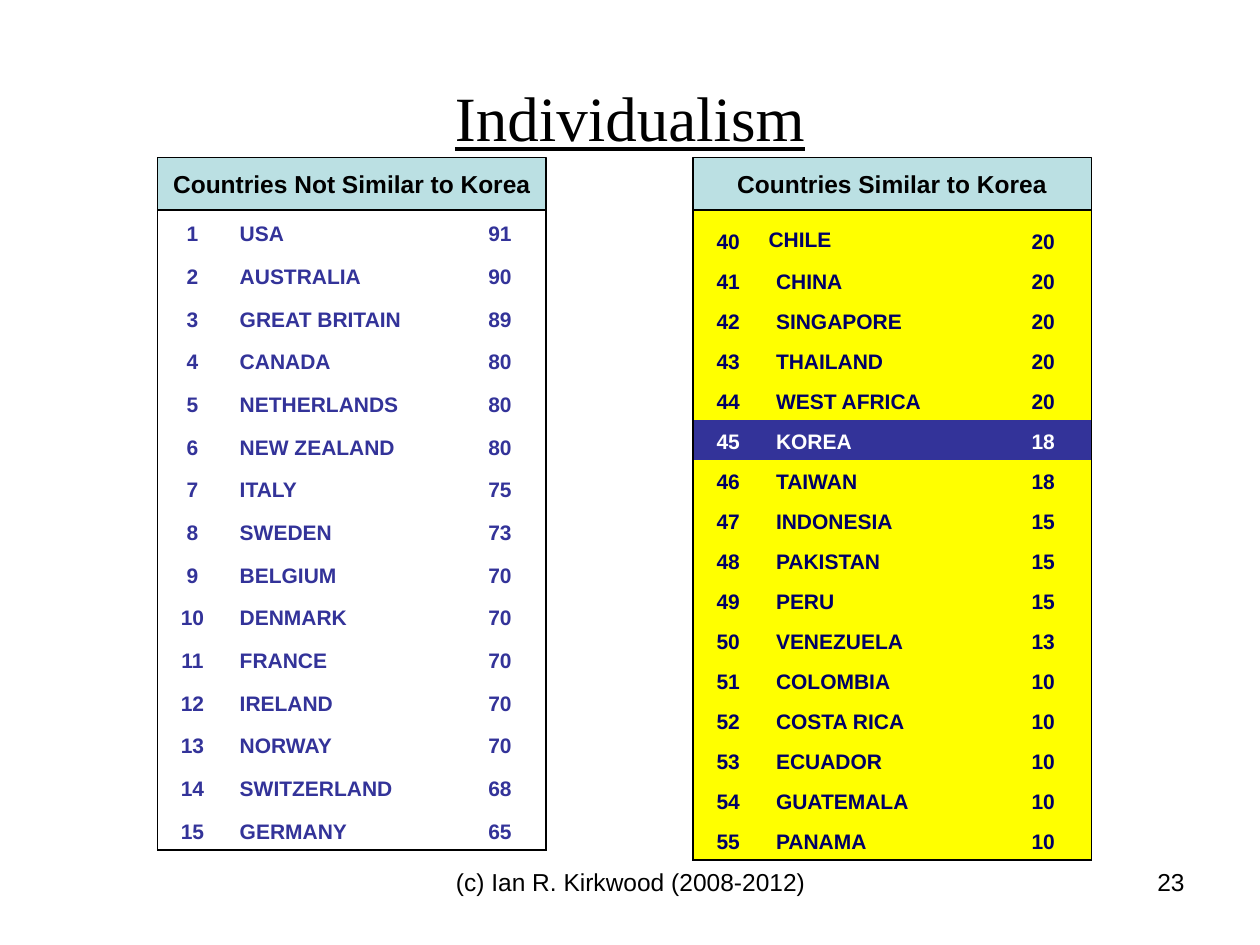
from lxml.etree import SubElement
from pptx import Presentation
from pptx.dml.color import RGBColor
from pptx.enum.shapes import MSO_SHAPE
from pptx.enum.text import MSO_ANCHOR, PP_ALIGN
from pptx.oxml.ns import qn
from pptx.util import Cm, Pt

NO_STYLE = "{2D5ABB26-0587-4C30-8999-92F81FD0307C}"
BLACK, WHITE, NAVY, INDIGO = "000000", "FFFFFF", "000066", "333399"
YELLOW, PALE_BLUE = "FFFF00", "BBE0E3"
HEADER_TOP, TABLE_TOP, TABLE_HEIGHT = 3.18, 4.23, 12.91


def write(frame, text, color, align=PP_ALIGN.LEFT, **font_format):
    """Put one formatted line of text into a text frame."""
    paragraph = frame.paragraphs[0]
    paragraph.alignment = align
    run = paragraph.add_run()
    run.text = text
    run.font.color.rgb = RGBColor.from_string(color)
    for name, value in ({"name": "Arial"} | font_format).items():
        setattr(run.font, name, value)


def add_plain_table(row_count, widths, left, top, height):
    """Add a table without style, borders or banding."""
    frame = slide.shapes.add_table(
        row_count, len(widths), Cm(left), Cm(top), Cm(sum(widths)), Cm(height))
    table = frame.table
    table.first_row = table.horz_banding = False
    next(frame._element.iter(qn("a:tableStyleId"))).text = NO_STYLE
    for column, width in zip(table.columns, widths):
        column.width = Cm(width)
    for row in table.rows:
        row.height = Cm(height / row_count)
    for cell in table.iter_cells():
        cell.vertical_anchor = MSO_ANCHOR.BOTTOM
    return table


presentation = Presentation()
presentation.slide_width, presentation.slide_height = Cm(25.4), Cm(19.05)
slide = presentation.slides.add_slide(presentation.slide_layouts[5])

title = slide.shapes.title
title.left, title.top, title.width, title.height = Cm(1.27), Cm(0.76), Cm(22.86), Cm(3.18)
title.text_frame.vertical_anchor = MSO_ANCHOR.MIDDLE
write(title.text_frame, "Individualism", BLACK, PP_ALIGN.CENTER,
      name="Times New Roman", size=Pt(36), underline=True)

footers = [
    ("(c) Ian R. Kirkwood (2008-2012)", 8.69, 8.05, PP_ALIGN.CENTER),
    ("23", 18.21, 5.92, PP_ALIGN.RIGHT),
]
for text, left, width, align in footers:
    box = slide.shapes.add_textbox(Cm(left), Cm(17.35), Cm(width), Cm(1.32))
    box.text_frame.word_wrap = True
    write(box.text_frame, text, BLACK, align, size=Pt(14))

not_similar = [
    ("USA", 91), ("AUSTRALIA", 90), ("GREAT BRITAIN", 89), ("CANADA", 80),
    ("NETHERLANDS", 80), ("NEW ZEALAND", 80), ("ITALY", 75), ("SWEDEN", 73),
    ("BELGIUM", 70), ("DENMARK", 70), ("FRANCE", 70), ("IRELAND", 70),
    ("NORWAY", 70), ("SWITZERLAND", 68), ("GERMANY", 65),
]
# Chile's name stands in its own small table, slightly offset from the column
similar = [
    ("", 20), ("CHINA", 20), ("SINGAPORE", 20), ("THAILAND", 20),
    ("WEST AFRICA", 20), ("KOREA", 18), ("TAIWAN", 18), ("INDONESIA", 15),
    ("PAKISTAN", 15), ("PERU", 15), ("VENEZUELA", 13), ("COLOMBIA", 10),
    ("COSTA RICA", 10), ("ECUADOR", 10), ("GUATEMALA", 10), ("PANAMA", 10),
]
rankings = [
    ("Countries Not Similar to Korea", not_similar, 1, 3.18, (1.4, 5.01, 1.42), INDIGO, None),
    ("Countries Similar to Korea", similar, 40, 13.97, (1.42, 5.15, 1.46), NAVY, YELLOW),
]

for heading, countries, first_rank, left, widths, text_color, fill_color in rankings:
    table = add_plain_table(len(countries), widths, left, TABLE_TOP, TABLE_HEIGHT)
    last_row, last_column = len(countries) - 1, len(widths) - 1
    for row, (country, score) in enumerate(countries):
        is_korea = country == "KOREA"
        for column, value in enumerate((first_rank + row, country, score)):
            cell = table.cell(row, column)
            outer_edges = {"a:lnL": column == 0, "a:lnR": column == last_column,
                           "a:lnT": row == 0, "a:lnB": row == last_row}
            for tag, is_outer in outer_edges.items():
                if is_outer:
                    line = SubElement(cell._tc.get_or_add_tcPr(), qn(tag), w=str(Pt(1)))
                    SubElement(SubElement(line, qn("a:solidFill")), qn("a:srgbClr"), val=BLACK)
            if fill_color:
                cell.fill.solid()
                cell.fill.fore_color.rgb = RGBColor.from_string(INDIGO if is_korea else fill_color)
            else:
                cell.fill.background()
            if value:
                write(cell.text_frame, str(value), WHITE if is_korea else text_color,
                      PP_ALIGN.LEFT if column else PP_ALIGN.CENTER, size=Pt(12), bold=True)

    header = slide.shapes.add_shape(
        MSO_SHAPE.RECTANGLE, Cm(left), Cm(HEADER_TOP), Cm(sum(widths)), Cm(TABLE_TOP - HEADER_TOP))
    header.shadow.inherit = False
    header.fill.solid()
    header.fill.fore_color.rgb = RGBColor.from_string(PALE_BLUE)
    header.line.color.rgb = RGBColor.from_string(BLACK)
    header.line.width = Pt(0.75)
    header.text_frame.word_wrap = False
    header.text_frame.vertical_anchor = MSO_ANCHOR.MIDDLE
    write(header.text_frame, heading, BLACK, PP_ALIGN.CENTER, size=Pt(14), bold=True)

chile_table = add_plain_table(1, [4.6], 15.24, 4.45, 0.76)
chile_cell = chile_table.cell(0, 0)
chile_cell.fill.background()
write(chile_cell.text_frame, "CHILE", NAVY, size=Pt(12), bold=True)

presentation.save("out.pptx")
